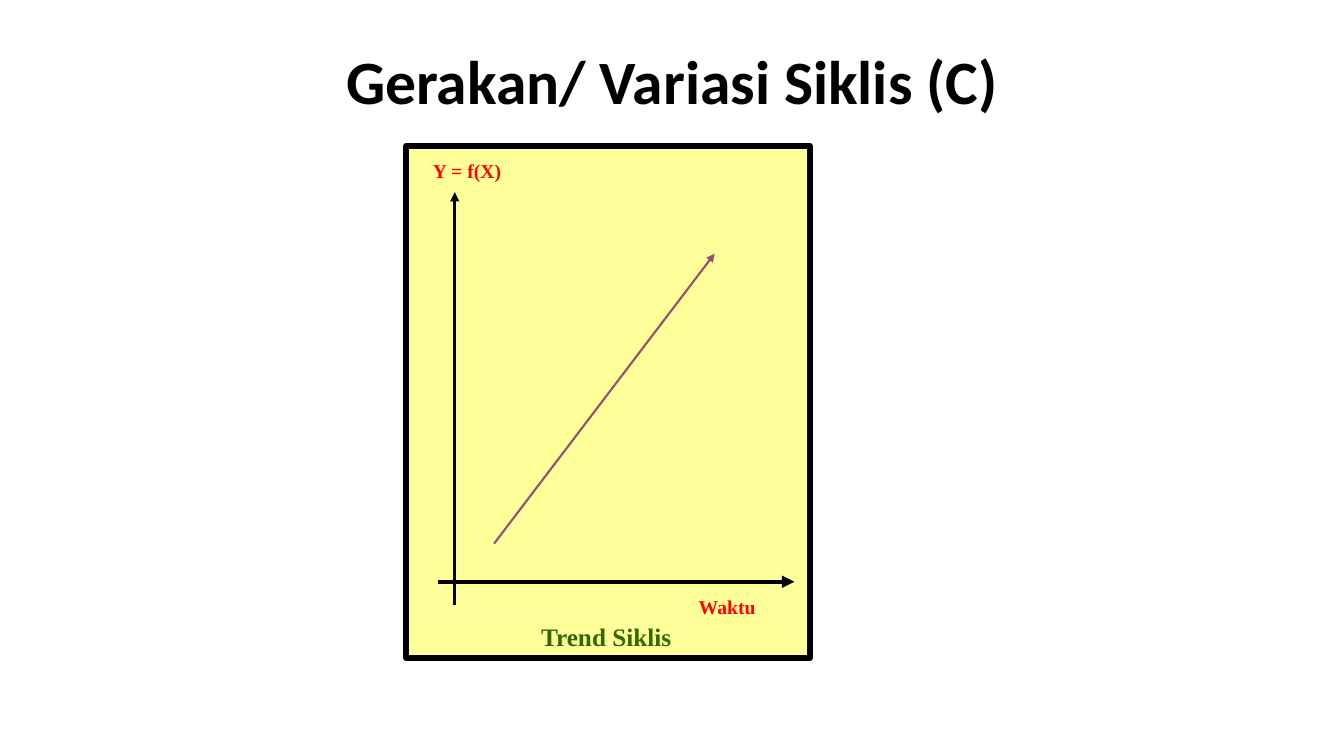
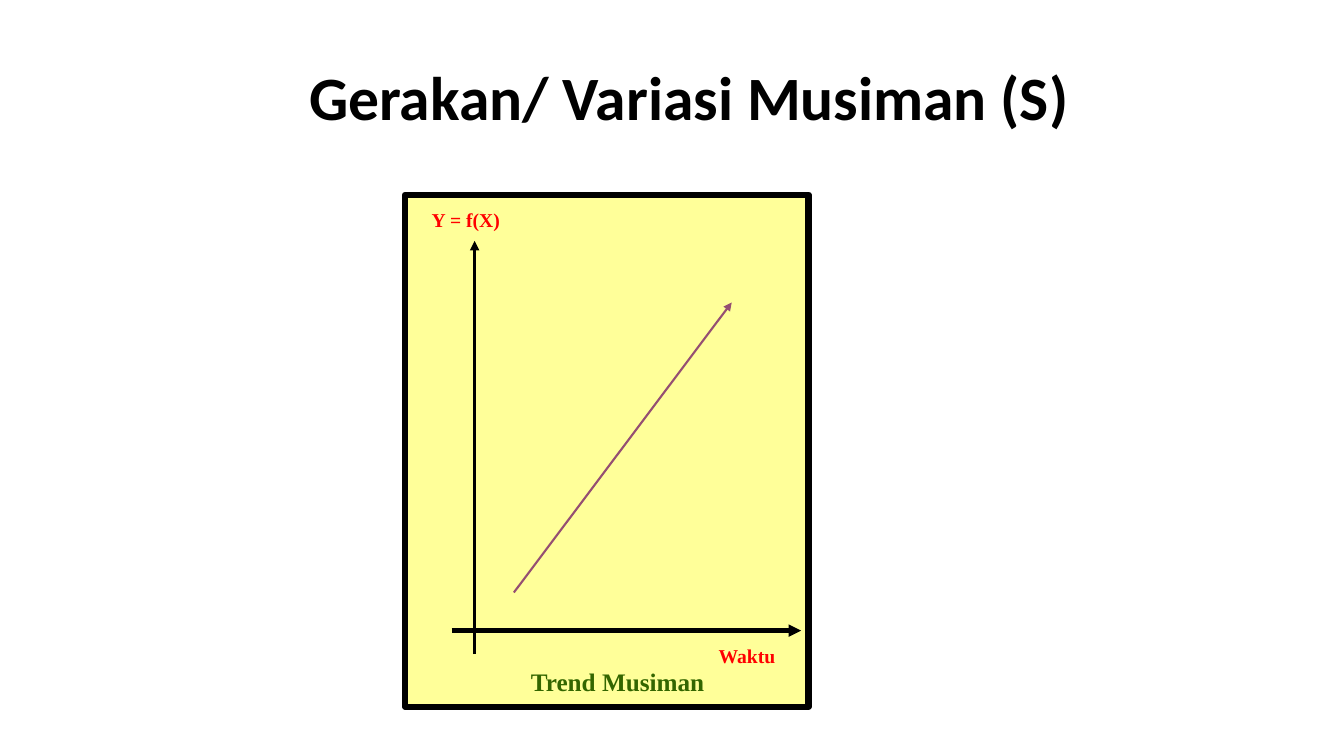
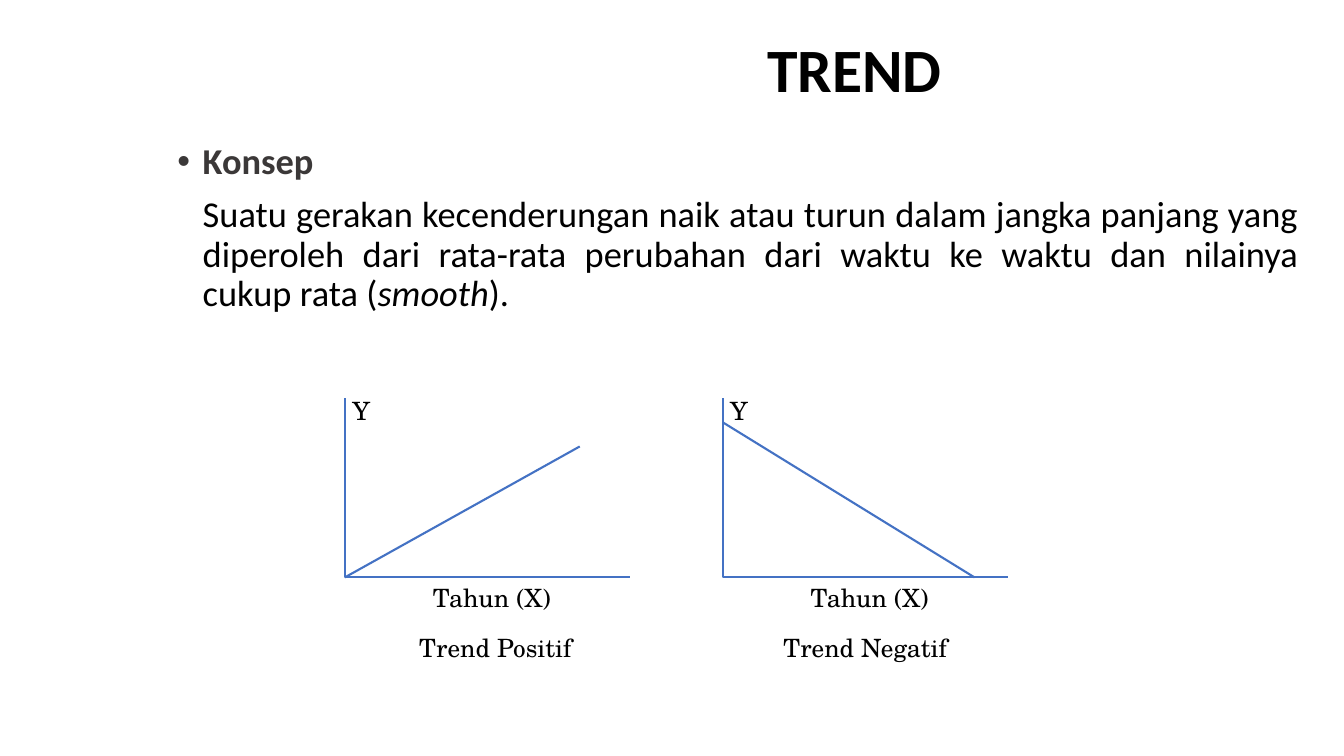
from pptx import Presentation
from pptx import util as u
from pptx.dml.color import RGBColor
from pptx.enum import shapes, text
from pptx.oxml.ns import qn
from lxml import etree

SERIF, SCHOLA, SANS = "Times New Roman", "TeX Gyre Schola", "Calibri"
BLACK, RED, GREEN, GREY = "000000", "FF0000", "336600", "3B3838"
YELLOW, PURPLE, BLUE = "FFFF99", "954F72", "4472C4"
CENTER, JUSTIFY = text.PP_ALIGN.CENTER, text.PP_ALIGN.JUSTIFY


def rgb(value):
    return RGBColor.from_string(value)


def add_run(p, words, font=SANS, size=18, color=BLACK, bold=False, italic=False):
    r = p.add_run()
    r.text = words
    f = r.font
    f.name, f.size, f.bold, f.italic = font, u.Pt(size), bold, italic
    f.color.rgb = rgb(color)


def set_indent(p, left, hanging=0, bullet=None):
    """Set the left margin in cm, with an optional hanging bullet."""
    ppr = p._p.get_or_add_pPr()
    ppr.set("marL", str(u.Cm(left)))
    ppr.set("indent", str(-u.Cm(hanging)))
    if bullet:
        etree.SubElement(ppr, qn("a:buFont")).set("typeface", "Arial")
        etree.SubElement(ppr, qn("a:buChar")).set("char", bullet)


class Deck:
    def __init__(self):
        self.prs = Presentation()
        self.prs.slide_width, self.prs.slide_height = u.Cm(33.87), u.Cm(19.05)
        self.s = None

    def new_slide(self, title, left, top):
        self.s = self.prs.slides.add_slide(self.prs.slide_layouts[6])
        tf = self.frame(left, top, 29.21, 3.68)
        tf.vertical_anchor = text.MSO_ANCHOR.MIDDLE
        p = tf.paragraphs[0]
        p.alignment, p.line_spacing = CENTER, 0.9
        add_run(p, title, size=44, bold=True)

    def frame(self, left, top, width, height):
        sp = self.s.shapes.add_textbox(u.Cm(left), u.Cm(top), u.Cm(width), u.Cm(height))
        sp.text_frame.word_wrap = True
        return sp.text_frame

    def label(self, words, left, top, width, align=None, **style):
        p = self.frame(left, top, width, 1).paragraphs[0]
        p.alignment = align
        add_run(p, words, **style)

    def line(self, start, end, color, width, arrow=False):
        points = [u.Cm(v) for v in (*start, *end)]
        sp = self.s.shapes.add_connector(shapes.MSO_CONNECTOR.STRAIGHT, *points)
        sp.line.color.rgb, sp.line.width = rgb(color), u.Pt(width)
        if arrow:
            etree.SubElement(sp.line._get_or_add_ln(), qn("a:tailEnd")).set("type", "triangle")
        etree.SubElement(sp._element.spPr, qn("a:effectLst"))

    def panel(self, left, top, width, height):
        sp = self.s.shapes.add_shape(shapes.MSO_SHAPE.RECTANGLE,
                                     u.Cm(left), u.Cm(top), u.Cm(width), u.Cm(height))
        sp.shadow.inherit = False
        sp.fill.solid()
        sp.fill.fore_color.rgb = rgb(YELLOW)
        sp.line.color.rgb, sp.line.width = rgb(BLACK), u.Pt(4.5)

    def axes(self, left, top, width, height):
        """Draw both axes as one open L-shaped outline."""
        x, y = u.Cm(left), u.Cm(top)
        corner = y + u.Cm(height)
        fb = self.s.shapes.build_freeform(x, y)
        fb.add_line_segments([(x, corner), (x + u.Cm(width), corner)], close=False)
        sp = fb.convert_to_shape()
        sp.shadow.inherit = False
        sp.fill.background()
        sp.line.color.rgb, sp.line.width = rgb(BLUE), u.Pt(1.5)

    def trend_panel(self, left, top, axis, time_span, trend_end, caption, caption_at):
        """Draw a framed rising trend; axis is the x of the vertical axis."""
        self.panel(left, top, 10.17, 12.9)
        self.line((axis, top + 11.57), (axis, top + 1.16), BLACK, 2.25, arrow=True)
        base = top + 10.98
        self.line((time_span[0], base), (time_span[1], base), BLACK, 3, arrow=True)
        self.line((axis + 0.99, top + 10.02), (trend_end, top + 2.71), PURPLE, 1.5, arrow=True)
        small = dict(font=SERIF, size=14, color=RED, bold=True)
        self.label("Y = f(X)", left + 0.42, top + 0.2, 3.5, **small)
        self.label("Waktu", axis + 5.9, top + 11.18, 2.74, **small)
        self.label(caption, caption_at[0], top + caption_at[1], 5.28,
                   font=SERIF, color=GREEN, bold=True)

    def trend_graph(self, left, start, end, caption, caption_left):
        """Draw plain axes and a trend; start and end are measured from the origin."""
        top, height = 10.03, 4.52
        base = top + height
        self.axes(left, top, 7.19, height)
        self.line((left + start[0], base - start[1]), (left + end[0], base - end[1]), BLUE, 1.5)
        for words, x, y, width in (("Tahun (X)", left + 1.48, base, 4.45),
                                   ("Y", left - 0.22, top - 0.2, 1.27),
                                   (caption, caption_left, base + 1.27, 7.19)):
            self.label(words, x, y, width, align=CENTER, font=SCHOLA)


def add_concept(deck):
    tf = deck.frame(4.22, 3.48, 28.78, 6)
    heading, body = tf.paragraphs[0], tf.add_paragraph()
    for p in (heading, body):
        p.line_spacing, p.space_before = 0.9, u.Pt(10)
    set_indent(heading, 0.64, hanging=0.64, bullet="•")
    add_run(heading, "Konsep", size=26, color=GREY, bold=True)
    body.alignment = JUSTIFY
    set_indent(body, 0.64)
    add_run(body, "Suatu gerakan kecenderungan naik atau turun dalam jangka panjang yang "
                  "diperoleh dari rata-rata perubahan dari waktu ke waktu dan nilainya "
                  "cukup rata (", size=26)
    add_run(body, "smooth", size=26, italic=True)
    add_run(body, ").", size=26)


def main():
    deck = Deck()
    deck.new_slide("Gerakan/ Variasi Siklis (C)", 2.34, 0.28)
    deck.trend_panel(10.24, 3.68, 11.46, (11.05, 20.02), 18.01, "Trend Siklis", (13.39, 11.86))

    deck.new_slide("Gerakan/ Variasi Musiman (S)", 2.77, 0.69)
    deck.trend_panel(10.21, 4.91, 11.96, (11.38, 20.19), 18.44, "Trend Musiman", (13.13, 11.76))

    deck.new_slide("TREND", 6.93, 0)
    add_concept(deck)
    deck.trend_graph(8.69, (0, 0), (5.92, 3.3), "Trend Positif", 8.89)
    deck.trend_graph(18.21, (0, 3.91), (6.35, 0), "Trend Negatif", 18.21)
    deck.prs.save("out.pptx")


if __name__ == "__main__":
    main()
